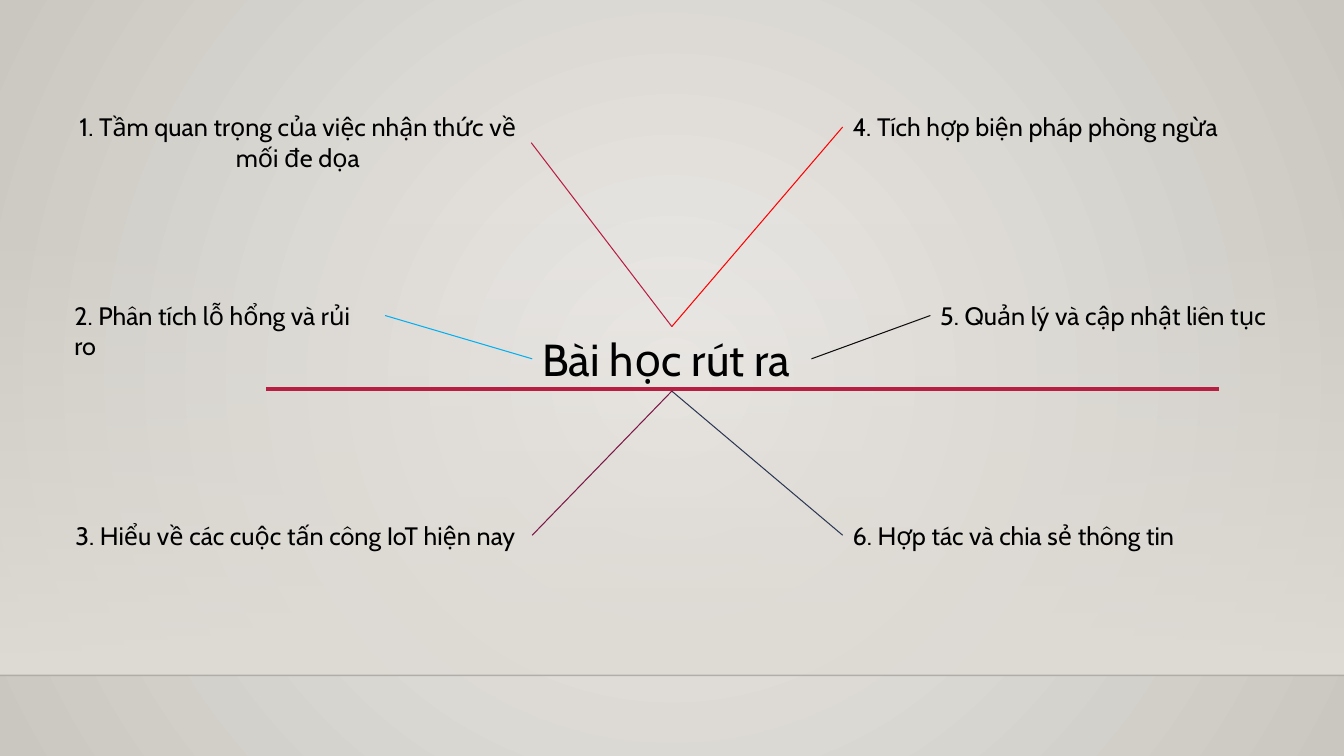
import pptx
import pptx.util
import pptx.dml.color
import pptx.enum.shapes
import pptx.enum.text
import pptx.oxml
import pptx.oxml.ns
from lxml import etree

Pt = pptx.util.Pt
RGB = pptx.dml.color.RGBColor
ALIGN = pptx.enum.text.PP_ALIGN
qn = pptx.oxml.ns.qn

WIDTH, HEIGHT = 960, 540
FONT = "Cabin"
BLACK = RGB(0x00, 0x00, 0x00)
SHADOW_LINE = RGB(0x00, 0x00, 0x01)
CRIMSON = RGB(0xB7, 0x1E, 0x42)
RED = RGB(0xFF, 0x00, 0x00)
CHARCOAL = RGB(0x0D, 0x0D, 0x0D)
SKY = RGB(0x00, 0xB0, 0xF0)
PLUM = RGB(0x7C, 0x16, 0x46)
NAVY = RGB(0x2C, 0x37, 0x53)
BG_CENTRE = RGB(0xEC, 0xEA, 0xE7)
BG_EDGE = RGB(0xCA, 0xC7, 0xC1)
FLOOR = RGB(0xDF, 0xDB, 0xD5)

TOP, LEFT, BOTTOM, RIGHT = range(4)  # connection sites of a rectangle

TITLE = ("Bài học rút ra", (380.16, 233.28, 199.44, 46.08))
# text, (left, top, width, height), alignment, own side, title side, line colour
LESSONS = [
    ("1. Tầm quan trọng của việc nhận thức về mối đe dọa",
     (46.08, 76.32, 333.36, 51.12), ALIGN.CENTER, RIGHT, TOP, CRIMSON),
    ("2. Phân tích lỗ hổng và rủi ro",
     (46.08, 210.96, 228.96, 28.8), ALIGN.LEFT, RIGHT, LEFT, SKY),
    ("3. Hiểu về các cuộc tấn công IoT hiện nay",
     (46.8, 367.92, 333.36, 28.8), ALIGN.LEFT, RIGHT, BOTTOM, PLUM),
    ("4. Tích hợp biện pháp phòng ngừa",
     (601.92, 76.32, 312.48, 28.8), ALIGN.LEFT, LEFT, TOP, RED),
    ("5. Quản lý và cập nhật liên tục",
     (664.56, 210.96, 249.12, 28.8), ALIGN.LEFT, LEFT, RIGHT, CHARCOAL),
    ("6. Hợp tác và chia sẻ thông tin",
     (601.92, 367.92, 321.84, 28.8), ALIGN.LEFT, LEFT, BOTTOM, NAVY),
]
FLOOR_TOP, FLOOR_BOTTOM = 159.12, 482.4
RULE_LEFT, RULE_RIGHT, RULE_Y = 190.08, 870.48, 277.92

prs = pptx.Presentation()
prs.slide_width, prs.slide_height = Pt(WIDTH), Pt(HEIGHT)
s = prs.slides.add_slide(prs.slide_layouts[6])


def set_alpha(element, percent):
    """Make the first colour inside element partly transparent."""
    color = next(element.iter(qn("a:srgbClr")))
    etree.SubElement(color, qn("a:alpha"), val=str(percent * 1000))


def fill_gradient(fill, *colors):
    fill.gradient()
    for stop, color in zip(fill.gradient_stops, colors):
        stop.color.rgb = color


def add_line(x1, y1, x2, y2, color, weight):
    line = s.shapes.add_connector(
        pptx.enum.shapes.MSO_CONNECTOR.STRAIGHT, Pt(x1), Pt(y1), Pt(x2), Pt(y2))
    line.line.color.rgb = color
    line.line.width = Pt(weight)
    etree.SubElement(line.element.spPr, qn("a:effectLst"))
    return line


def add_text(text, box, size=18, align=ALIGN.LEFT, wrap=True):
    tb = s.shapes.add_textbox(*map(Pt, box))
    tf = tb.text_frame
    tf.word_wrap = wrap
    tf.auto_size = pptx.enum.text.MSO_AUTO_SIZE.SHAPE_TO_FIT_TEXT
    p = tf.paragraphs[0]
    p.alignment = align
    r = p.add_run()
    r.text = text
    r.font.name, r.font.size, r.font.color.rgb = FONT, Pt(size), BLACK
    return tb


# Background: light centre fading towards the edges
fill_gradient(s.background.fill, BG_CENTRE, BG_EDGE)
linear = next(s.element.iter(qn("a:lin")))
radial = etree.Element(qn("a:path"), path="circle")
etree.SubElement(radial, qn("a:fillToRect"), l="50000", t="50000", r="50000", b="50000")
linear.getparent().replace(linear, radial)

floor = s.shapes.add_shape(
    pptx.enum.shapes.MSO_SHAPE.RECTANGLE,
    0, Pt(FLOOR_TOP), Pt(WIDTH), Pt(FLOOR_BOTTOM - FLOOR_TOP))
floor.shadow.inherit = False
floor.line.fill.background()
fill_gradient(floor.fill, FLOOR, FLOOR)
floor.fill.gradient_angle = 270
set_alpha(floor.element.spPr, 0)

floor_edge = add_line(0, FLOOR_BOTTOM, WIDTH, FLOOR_BOTTOM, SHADOW_LINE, 1)
set_alpha(floor_edge.element.spPr, 20)
add_line(RULE_LEFT, RULE_Y, RULE_RIGHT, RULE_Y, CRIMSON, 2.5)

title = add_text(*TITLE, size=32, wrap=False)
for text, box, align, own_side, title_side, color in LESSONS:
    lesson = add_text(text, box, align=align)
    link = add_line(0, 0, 0, 0, color, 0.75)
    link.begin_connect(lesson, own_side)
    link.end_connect(title, title_side)

prs.save("out.pptx")
